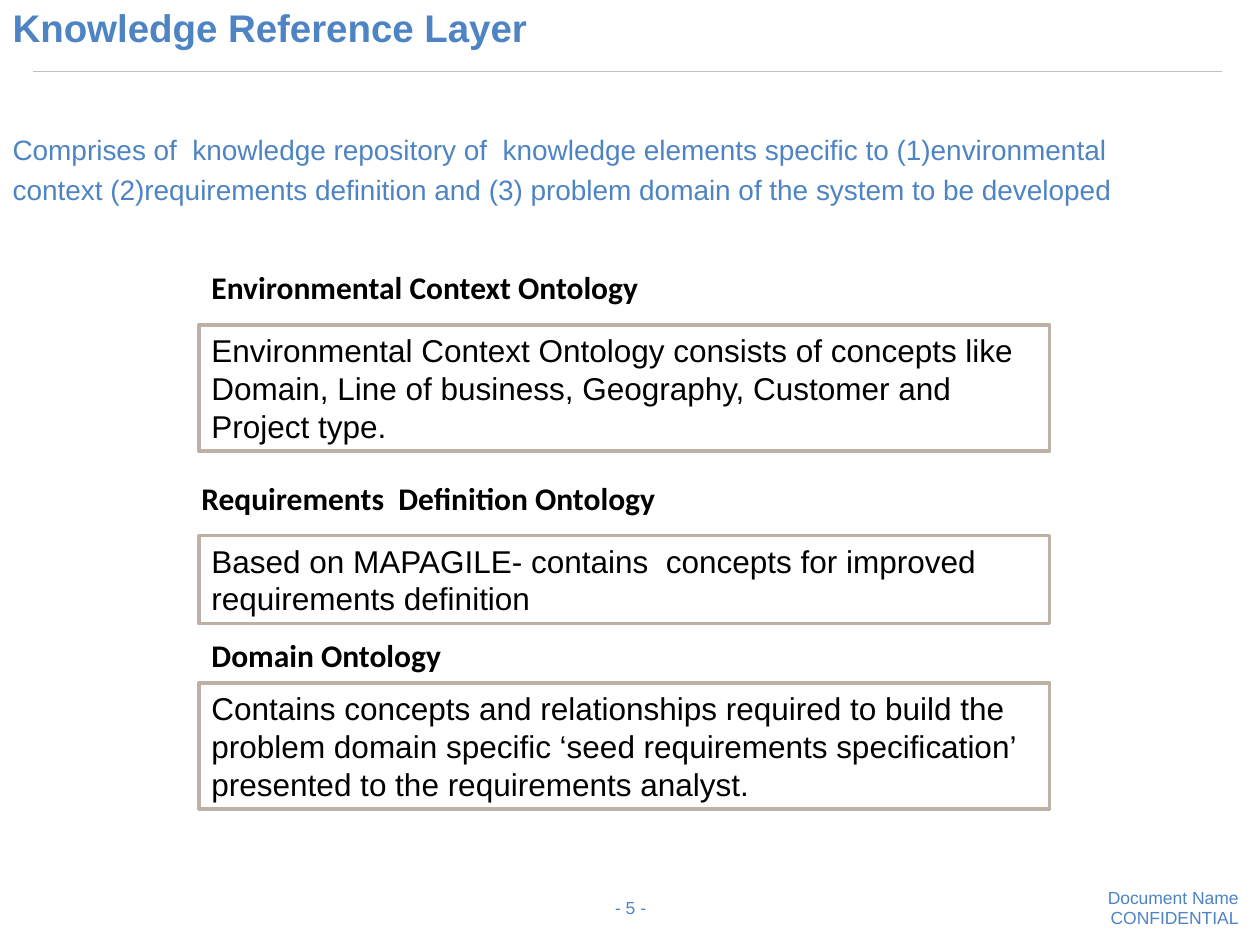
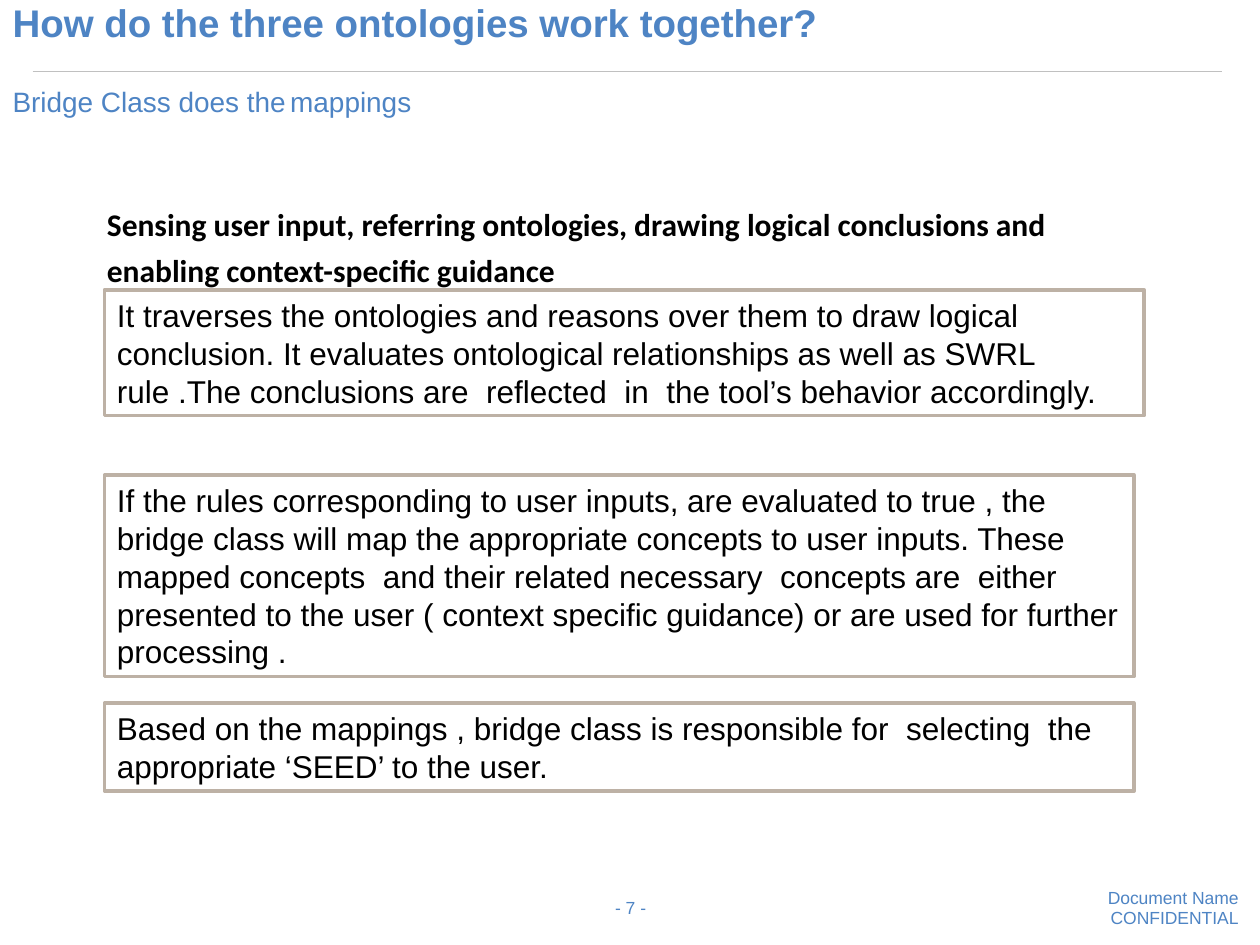
"""Build two slides on the knowledge reference layer and its ontologies."""
from lxml import etree
from pptx import Presentation, util as u
from pptx.dml.color import RGBColor
from pptx.enum import shapes, text
from pptx.oxml import ns

WIDTH, HEIGHT = 10, 7.5
BLUE, BLACK, WHITE, RULE, FRAME = "4E84C4", "000000", "FFFFFF", "C0C0C0", "BDB1A5"
HEADING = {"size": 18, "font": "Calibri", "bold": True}
LINE_HEIGHT, BOX_PADDING = 0.3, 0.1
FOOTER = ["Document Name", "CONFIDENTIAL"]
FOOTER_LEFT, FOOTER_TOP, FOOTER_WIDTH, FOOTER_STEP = 5.57, 7.04, 4.26, 0.16

SLIDES = [
    {
        "number": 5,
        "title": ("Knowledge Reference Layer", -0.07),
        "lead": [
            ["Comprises of  knowledge repository of  knowledge elements specific to (1)environmental"],
            ["context (2)requirements definition and (3) problem domain of the system to be developed"],
        ],
        "lead_at": (0, 1, 9, 4.78),
        "headings": [
            (["Environmental Context Ontology"], (1.58, 2.08, 4.33, 0.4)),
            (["Requirements  Definition Ontology"], (1.5, 3.75, 4.33, 0.4)),
            (["Domain Ontology"], (1.58, 5, 3.67, 0.4)),
        ],
        "boxes": [
            ("Environmental Context Ontology consists of concepts like Domain, Line of business, "
             "Geography, Customer and Project type.", 1.58, 2.58, 6.75, 3),
            ("Based on MAPAGILE- contains  concepts for improved requirements definition",
             1.58, 4.25, 6.75, 2),
            ("Contains concepts and relationships required to build the problem domain specific "
             "‘seed requirements specification’ presented to the requirements analyst.",
             1.58, 5.42, 6.75, 3),
        ],
    },
    {
        "number": 7,
        "title": ("How do the three ontologies work together?", -0.11),
        "lead": [["Bridge Class does the", " ", "mappings"]],
        "lead_at": (0, 0.62, 7.33, 0.69),
        "headings": [
            (["Sensing user input, referring ontologies, drawing logical conclusions and",
              "enabling context-specific guidance"], (0.75, 1.58, 8.58, 0.58)),
        ],
        "boxes": [
            ("It traverses the ontologies and reasons over them to draw logical conclusion. "
             "It evaluates ontological relationships as well as SWRL rule .The conclusions are  "
             "reflected  in  the tool’s behavior accordingly.", 0.83, 2.3, 8.25, 3),
            ("If the rules corresponding to user inputs, are evaluated to true , the bridge class "
             "will map the appropriate concepts to user inputs. These mapped concepts  and their "
             "related necessary  concepts are  either presented to the user ( context specific "
             "guidance) or are used for further processing .", 0.83, 3.77, 8.17, 5),
            ("Based on the mappings , bridge class is responsible for  selecting  the appropriate "
             "‘SEED’ to the user.", 0.83, 5.58, 8.17, 2),
        ],
    },
]


def color(value):
    return RGBColor.from_string(value)


def inches(values):
    return [u.Inches(value) for value in values]


def place(shape, at):
    shape.left, shape.top, shape.width, shape.height = inches(at)


def write(shape, lines, size, ink=BLACK, font="Arial", bold=False,
          align=text.PP_ALIGN.LEFT, anchor=text.MSO_ANCHOR.TOP, before=0, spacing=1.0):
    frame = shape.text_frame
    frame.text = "\n".join(lines)
    frame.word_wrap = True
    frame.auto_size = text.MSO_AUTO_SIZE.NONE
    frame.vertical_anchor = anchor
    for para in frame.paragraphs:
        para.alignment = align
        para.space_before = u.Pt(before)
        para.line_spacing = spacing
        for span in para.runs:
            style(span, size, ink, font, bold)
    return frame


def style(span, size, ink, font="Arial", bold=False):
    span.font.size, span.font.name, span.font.bold = u.Pt(size), font, bold
    span.font.color.rgb = color(ink)


def add_lead(page, lines, at):
    body = page.placeholders[1]
    place(body, at)
    frame = write(body, [line[0] for line in lines], 16, BLUE, before=4)
    for para, line in zip(frame.paragraphs, lines):
        for part in line[1:]:
            span = para.add_run()
            span.text = part
            style(span, 16 if part.strip() else 9, BLUE)
        properties = para._p.get_or_add_pPr()
        properties.set("marL", "0")
        properties.set("indent", "0")
        etree.SubElement(properties, ns.qn("a:buNone"))


def add_label(page, lines, at, **look):
    return write(page.shapes.add_textbox(*inches(at)), lines, **look)


def add_box(page, words, left, top, width, rows):
    at = (left, top, width, rows * LINE_HEIGHT + BOX_PADDING)
    box = page.shapes.add_shape(shapes.MSO_SHAPE.RECTANGLE, *inches(at))
    box.shadow.inherit = False
    box.fill.solid()
    box.fill.fore_color.rgb = color(WHITE)
    box.line.color.rgb = color(FRAME)
    box.line.width = u.Pt(2)
    write(box, [words], 18)


def add_furniture(page, number):
    rule = page.shapes.add_connector(
        shapes.MSO_CONNECTOR.STRAIGHT, *inches((0.26, 0.57, 9.7, 0.57)))
    rule.line.color.rgb = color(RULE)
    rule.line.width = u.Pt(0.75)
    etree.SubElement(rule._element.spPr, ns.qn("a:effectLst"))
    for row, words in enumerate(FOOTER):
        at = (FOOTER_LEFT, FOOTER_TOP + row * FOOTER_STEP, FOOTER_WIDTH, 0.17)
        frame = add_label(page, [words], at, size=10, ink=BLUE, align=text.PP_ALIGN.RIGHT)
        frame.margin_left = frame.margin_right = frame.margin_top = frame.margin_bottom = 0
    add_label(page, [f"- {number} -"], (4.64, 7.01, 0.73, 0.39), size=10, ink=BLUE,
              align=text.PP_ALIGN.CENTER, anchor=text.MSO_ANCHOR.MIDDLE)


def build_slide(deck, content):
    page = deck.slides.add_slide(deck.slide_layouts[1])
    add_furniture(page, content["number"])
    words, top = content["title"]
    title = page.shapes.title
    place(title, (0, top, 9.57, 0.52))
    write(title, [words], 22, BLUE, bold=True, anchor=text.MSO_ANCHOR.MIDDLE, spacing=1.15)
    add_lead(page, content["lead"], content["lead_at"])
    for box in content["boxes"]:
        add_box(page, *box)
    for lines, at in content["headings"]:
        add_label(page, lines, at, before=4.5 if len(lines) > 1 else 0, **HEADING)


def main():
    deck = Presentation()
    deck.slide_width, deck.slide_height = inches((WIDTH, HEIGHT))
    for content in SLIDES:
        build_slide(deck, content)
    deck.save("out.pptx")


if __name__ == "__main__":
    main()
